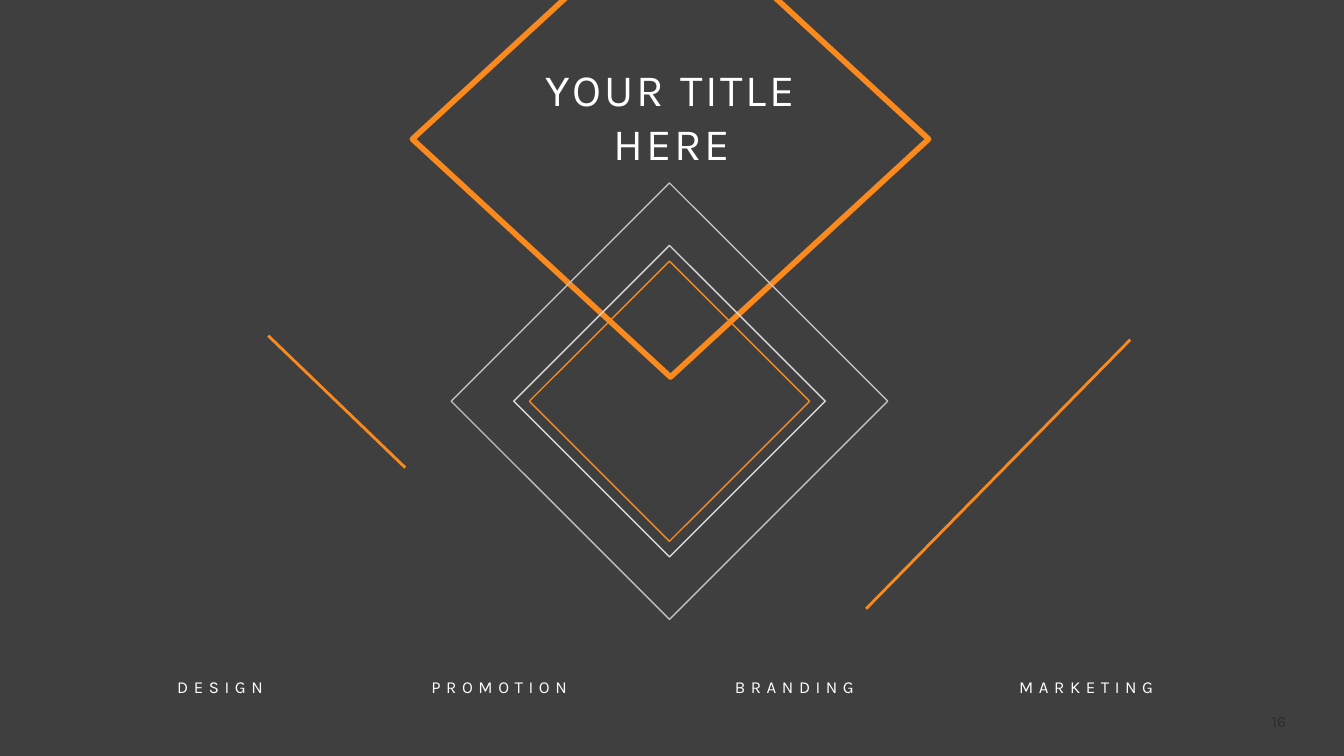
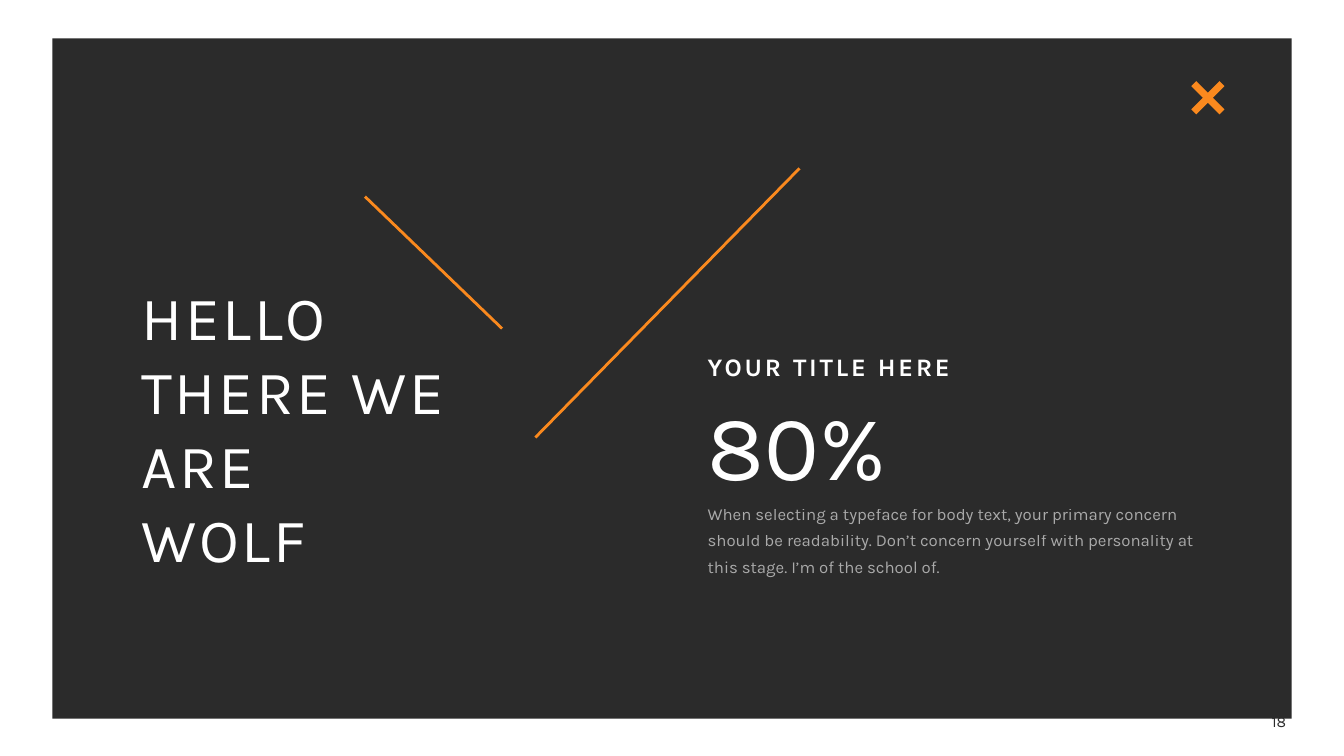
from dataclasses import dataclass

from lxml.etree import SubElement
from pptx import Presentation
from pptx.dml.color import RGBColor
from pptx.enum.shapes import MSO_CONNECTOR as CONNECTOR, MSO_SHAPE as SHAPE
from pptx.enum.text import MSO_ANCHOR as ANCHOR, MSO_AUTO_SIZE as AUTO_SIZE, PP_ALIGN as ALIGN
from pptx.oxml.ns import qn
from pptx.util import Inches, Pt


@dataclass(frozen=True)
class Theme:
    font: str = "Karla"
    dark: str = "2B2B2B"
    accent: str = "FA891E"
    white: str = "FFFFFF"
    light_gray: str = "D9D9D9"
    gray: str = "BFBFBF"
    number_size: int = 11
    body_size: int = 12
    heading_size: int = 18
    title_size: int = 32
    hero_size: int = 44
    figure_size: int = 66


THEME = Theme()
WIDTH, HEIGHT = 13.33, 7.5
TITLE_ONLY = 5


def set_opacity(element, percent):
    """Make every RGB colour inside the element partly transparent."""
    for color in element.iter(qn("a:srgbClr")):
        SubElement(color, qn("a:alpha")).set("val", str(percent * 1000))


class SlideBuilder:
    def __init__(self, deck, theme):
        self.deck = deck
        self.theme = theme
        self.page = None

    def start(self, number, panel, opacity=100):
        """Add a page whose number lies behind a dark panel."""
        self.page = self.deck.slides.add_slide(self.deck.slide_layouts[TITLE_ONLY])
        box = self.text(str(number), (12.45, 7.05, 0.47, 0.21), self.theme.number_size,
                        color=self.theme.dark, align=ALIGN.CENTER)
        box.text_frame.vertical_anchor = ANCHOR.MIDDLE
        backdrop = self.shape(SHAPE.RECTANGLE, panel)
        backdrop.fill.solid()
        backdrop.fill.fore_color.rgb = RGBColor.from_string(self.theme.dark)
        backdrop.line.fill.background()
        if opacity < 100:
            set_opacity(backdrop.element, opacity)

    def shape(self, kind, place):
        shape = self.page.shapes.add_shape(kind, *map(Inches, place))
        shape.shadow.inherit = False
        return shape

    def diamond(self, center, size, color, weight):
        (x, y), (width, height) = center, size
        diamond = self.shape(SHAPE.DIAMOND, (x - width / 2, y - height / 2, width, height))
        diamond.fill.background()
        diamond.line.color.rgb = RGBColor.from_string(color)
        diamond.line.width = Pt(weight)

    def line(self, start, end, weight=2, shapes=None):
        shapes = self.page.shapes if shapes is None else shapes
        line = shapes.add_connector(CONNECTOR.STRAIGHT, *map(Inches, (*start, *end)))
        line.line.color.rgb = RGBColor.from_string(self.theme.accent)
        line.line.width = Pt(weight)
        SubElement(line.element.spPr, qn("a:effectLst"))

    def slashes(self, short_start, long_start):
        """Draw the falling short stroke and the steep long stroke."""
        for (x, y), (dx, dy) in ((short_start, (1.36, 1.31)), (long_start, (-2.62, 2.67))):
            self.line((x, y), (x + dx, y + dy))

    def cross(self, center, arm):
        x, y = center
        group = self.page.shapes.add_group_shape()
        for side in (1, -1):
            self.line((x + arm, y - side * arm), (x - arm, y + side * arm), 5, group.shapes)

    def title(self, lines, place, size, align=ALIGN.LEFT):
        title = self.page.shapes.title
        title.element.getparent().append(title.element)  # bring in front of the panel
        title.left, title.top, title.width, title.height = map(Inches, place)
        self.fill_frame(title.text_frame, lines, size, align=align, tracking=2)

    def text(self, words, place, size, wrap=True, **style):
        box = self.page.shapes.add_textbox(*map(Inches, place))
        self.fill_frame(box.text_frame, [words], size, wrap, **style)
        return box

    def fill_frame(self, frame, lines, size, wrap=True, color=None, opacity=100,
                   align=ALIGN.LEFT, tracking=0, bold=False, spacing=None):
        frame.word_wrap = wrap
        frame.auto_size = AUTO_SIZE.NONE
        frame.vertical_anchor = ANCHOR.TOP
        for index, words in enumerate(lines):
            para = frame.add_paragraph() if index else frame.paragraphs[0]
            para.alignment = align
            if spacing:
                para.line_spacing = spacing
            span = para.add_run()
            span.text = words
            span.font.name = self.theme.font
            span.font.size = Pt(size)
            span.font.bold = bold
            span.font.color.rgb = RGBColor.from_string(color or self.theme.white)
            if tracking:
                span.font._element.set("spc", str(tracking * 100))
            if opacity < 100:
                set_opacity(span.font._element, opacity)


def build_diamonds(slide):
    theme = slide.theme
    slide.start(16, (0, 0, WIDTH, HEIGHT), opacity=90)
    slide.diamond((6.65, 1.38), (5.12, 4.72), theme.accent, 4)
    for side, color in ((2.78, theme.accent), (3.09, theme.light_gray), (4.33, theme.gray)):
        slide.diamond((6.64, 3.98), (side, side), color, 1)
    slide.title(["YOUR TITLE HERE"], (5.01, 0.56, 3.31, 1.18), theme.title_size, ALIGN.CENTER)
    for label, left, width in (("DESIGN", 1.66, 1.13), ("PROMOTION", 4.18, 1.68),
                               ("BRANDING", 7.19, 1.49), ("MARKETING", 10.01, 1.66)):
        slide.text(label, (left, 6.66, width, 0.3), theme.body_size, wrap=False, tracking=4)
    slide.slashes((2.66, 3.33), (11.21, 3.37))


def build_figure(slide):
    theme = slide.theme
    left, width = 6.92, 5.2
    slide.start(18, (0.52, 0.38, 12.29, 6.75))
    slide.title(["HELLO THERE WE ARE", "WOLF"], (1.3, 2.72, 3.95, 3.06), theme.hero_size)
    slide.cross((11.98, 0.97), 0.14)
    slide.text("When selecting a typeface for body text, your primary concern should be "
               "readability. Don’t concern yourself with personality at this stage. "
               "I’m of the school of.",
               (left, 4.89, width, 0.89), theme.body_size, opacity=60, spacing=1.3)
    slide.text("YOUR TITLE HERE", (left, 3.47, width, 0.41), theme.heading_size,
               bold=True, tracking=2, spacing=0.9)
    slide.text("80%", (left, 3.8, 2.01, 1.21), theme.figure_size, wrap=False)
    slide.slashes((3.62, 1.95), (7.93, 1.67))


def main():
    deck = Presentation()
    deck.slide_width, deck.slide_height = Inches(WIDTH), Inches(HEIGHT)
    slide = SlideBuilder(deck, THEME)
    build_diamonds(slide)
    build_figure(slide)
    deck.save("out.pptx")


if __name__ == "__main__":
    main()
